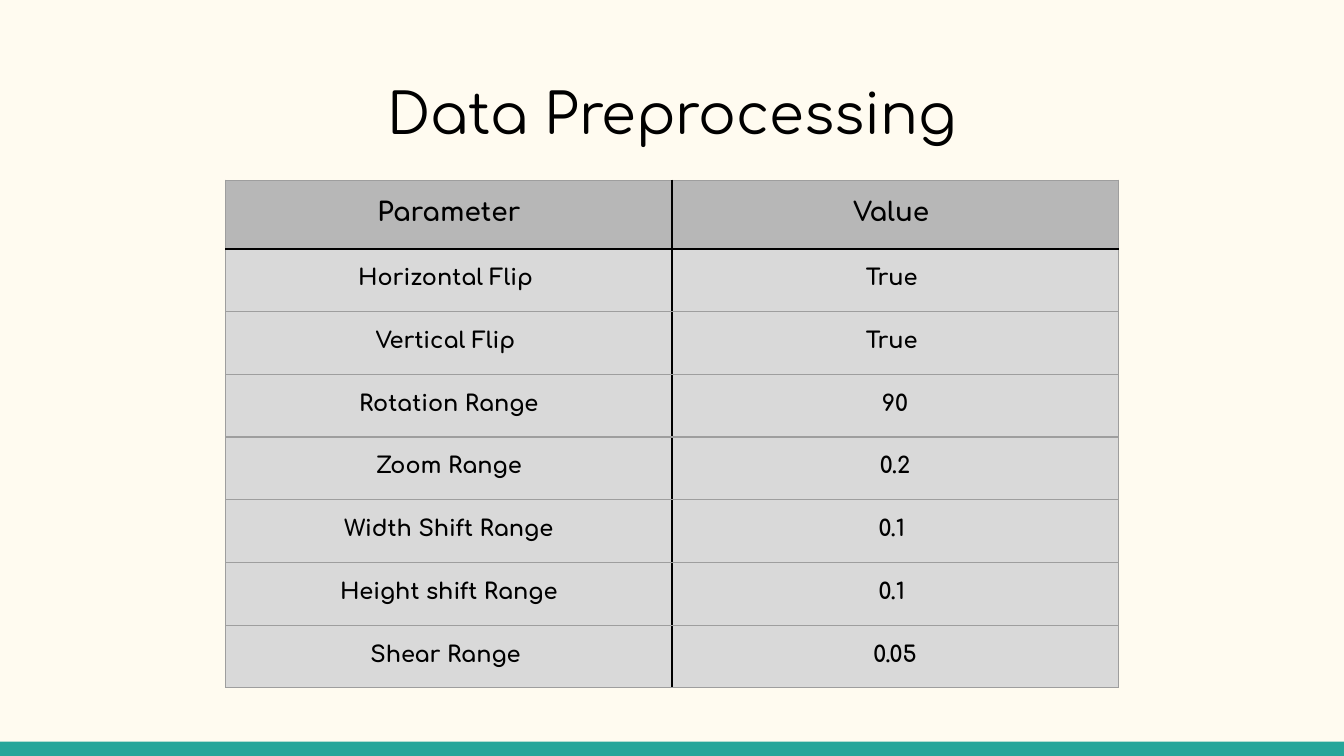
from lxml import etree
from pptx import Presentation, util as u
from pptx.dml.color import RGBColor
from pptx.enum import shapes, text
from pptx.oxml.ns import qn

FONT = "Comfortaa"
BLACK, GREY = "000000", "9E9E9E"
PARAMETERS = [
    ("Parameter", "Value "),
    ("Horizontal Flip ", "True "),
    ("Vertical Flip ", "True "),
    ("Rotation Range", "90"),
    ("Zoom Range", "0.2"),
    ("Width Shift Range", "0.1 "),
    ("Height shift Range", "0.1 "),
    ("Shear Range ", "0.05"),
]


def colour(value):
    return RGBColor.from_string(value)


def fill(target, value):
    target.fill.solid()
    target.fill.fore_color.rgb = colour(value)


def write(frame, words, size=12, bold=False, spacing=1.0, ink=BLACK):
    """Put one centred paragraph into a text frame."""
    frame.word_wrap = True
    para = frame.paragraphs[0]
    para.alignment = text.PP_ALIGN.CENTER
    para.line_spacing = spacing
    span = para.add_run()
    span.text = words
    span.font.name = FONT
    span.font.size = u.Pt(size)
    span.font.bold = bold
    span.font.color.rgb = colour(ink)


def inset(target, margin=u.Inches(0.1)):
    target.margin_left = target.margin_right = margin
    target.margin_top = target.margin_bottom = margin


def border(cell, width=0.75, **sides):
    """Colour the sides L, R, T and B, given in that order, ahead of the fill."""
    properties = cell._tc.get_or_add_tcPr()
    for position, (side, value) in enumerate(sides.items()):
        line = etree.Element(qn(f"a:ln{side}"), w=str(u.Pt(width)))
        paint = etree.SubElement(line, qn("a:solidFill"))
        etree.SubElement(paint, qn("a:srgbClr"), val=value)
        properties.insert(position, line)


class Slide:
    """Holds the style and the page; lengths are percentages of its size."""

    def __init__(self, deck, background):
        self.deck = deck
        self.page = deck.slides.add_slide(deck.slide_layouts[5])
        fill(self.page.background, background)

    def across(self, share):
        return round(self.deck.slide_width * share / 100)

    def down(self, share):
        return round(self.deck.slide_height * share / 100)

    def area(self, left, top, width, height):
        return self.across(left), self.down(top), self.across(width), self.down(height)

    def title(self, words, *place):
        box = self.page.shapes.title
        box.left, box.top, box.width, box.height = self.area(*place)
        inset(box.text_frame)
        box.text_frame.vertical_anchor = text.MSO_ANCHOR.TOP
        write(box.text_frame, words, size=30)

    def bar(self, value, *place):
        box = self.page.shapes.add_shape(shapes.MSO_SHAPE.RECTANGLE, *self.area(*place))
        box.shadow.inherit = False
        fill(box, value)
        box.line.fill.background()

    def table(self, rows, left, top, width, header_height, row_height):
        height = header_height + row_height * (len(rows) - 1)
        last = len(rows[0]) - 1
        table = self.page.shapes.add_table(
            len(rows), len(rows[0]), *self.area(left, top, width, height)).table
        for r, values in enumerate(rows):
            header = r == 0
            table.rows[r].height = self.down(header_height if header else row_height)
            for c, words in enumerate(values):
                cell = table.cell(r, c)
                inset(cell)
                fill(cell, "B7B7B7" if header else "D9D9D9")
                write(cell.text_frame, words, size=14 if header else 12,
                      bold=True, spacing=1.15)
                border(cell,
                       L=BLACK if c > 0 else GREY,
                       R=BLACK if c < last else GREY,
                       T=BLACK if r == 1 else GREY,
                       B=BLACK if header else GREY)


def main():
    deck = Presentation()
    deck.slide_width = u.Inches(10)
    deck.slide_height = deck.slide_width * 9 // 16
    slide = Slide(deck, background="FFFBF0")
    slide.bar("26A69A", 0, 98.1, 100, 1.9)
    slide.title("Data Preprocessing", 3.4, 8.6, 93.2, 11.9)
    slide.table(PARAMETERS, left=16.8, top=23.83, width=66.4,
                header_height=9.1, row_height=8.3)
    deck.save("out.pptx")


if __name__ == "__main__":
    main()
